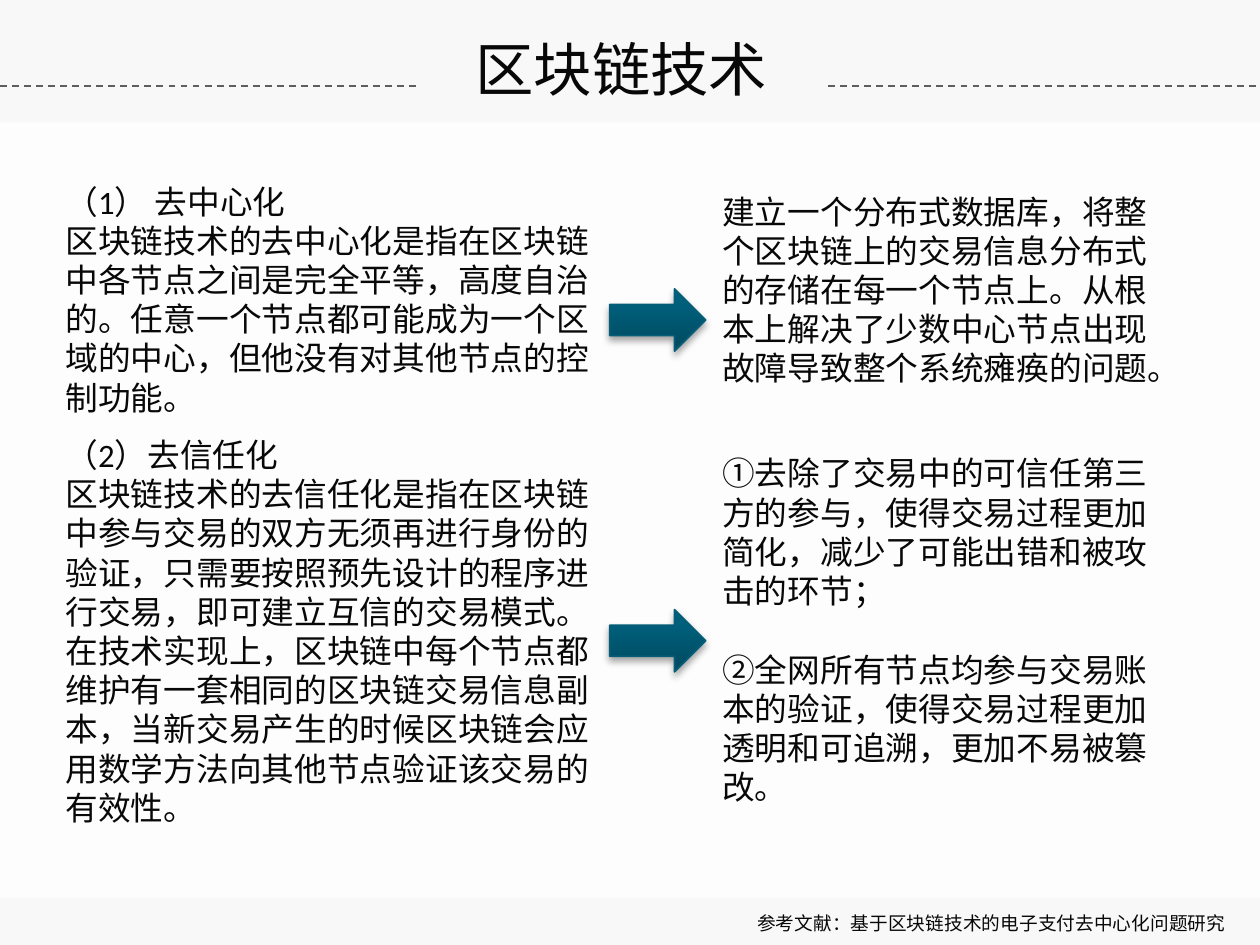
from lxml.etree import SubElement as Sub
from pptx import Presentation
from pptx.dml.color import RGBColor
from pptx.enum.dml import MSO_LINE_DASH_STYLE as Dash
from pptx.enum.shapes import MSO_CONNECTOR as Link, MSO_SHAPE as Kind
from pptx.enum.text import MSO_ANCHOR as Anchor, MSO_AUTO_SIZE as Auto, PP_ALIGN as Align
from pptx.oxml.ns import qn
from pptx.util import Cm, Pt

INK = RGBColor(0x08, 0x08, 0x08)
PALE = RGBColor(0xF8, 0xF8, 0xF8)
WHITE = RGBColor(0xFF, 0xFF, 0xFF)
GREY = RGBColor(0x5F, 0x5F, 0x5F)
DEEP = RGBColor(0x00, 0x49, 0x5F)
TEAL = RGBColor(0x00, 0x60, 0x7C)
EDGE = RGBColor(0x05, 0x5D, 0x77)
HAN = "Noto Sans CJK SC"


def write(box, *lines, size=14, font="Calibri", align=Align.LEFT, gap=0):
    frame = box.text_frame
    frame.word_wrap = True
    frame.auto_size = Auto.NONE
    frame.vertical_anchor = Anchor.TOP
    for i, line in enumerate(lines):
        para = frame.paragraphs[0] if i == 0 else frame.add_paragraph()
        para.alignment = align
        para.line_spacing = Pt(size * 1.2)
        para.space_before = Pt(gap if i else 0)
        run = para.add_run()
        run.text = line
        run.font.size = Pt(size)
        run.font.name = font
        run.font.color.rgb = INK
        Sub(run._r.get_or_add_rPr(), qn("a:ea"), typeface=HAN)


prs = Presentation()
prs.slide_width, prs.slide_height = Cm(19.05), Cm(14.29)
slide = prs.slides.add_slide(prs.slide_layouts[5])
shapes = slide.shapes
back = slide.background.fill
back.solid()
back.fore_color.rgb = PALE

panel = shapes.add_shape(Kind.RECTANGLE, 0, Cm(1.85), Cm(19.05), Cm(11.73))
panel.shadow.inherit = False
panel.fill.solid()
panel.fill.fore_color.rgb = WHITE
panel.line.fill.background()
Sub(panel._element.spPr.find(".//" + qn("a:srgbClr")), qn("a:alpha"), val="79000")

title = shapes.title
title.left, title.top, title.width, title.height = Cm(6.32), Cm(0.38), Cm(6.15), Cm(1.32)
write(title, "区块链技术", size=25, font=HAN, align=Align.CENTER)

for start, end in ((0, 6.32), (12.52, 19.05)):
    rule = shapes.add_connector(Link.STRAIGHT, Cm(start), Cm(1.3), Cm(end), Cm(1.3))
    rule.line.color.rgb = GREY
    rule.line.width = Pt(0.75)
    rule.line.dash_style = Dash.DASH
    Sub(rule._element.spPr, qn("a:effectLst"))

for top in (4.37, 9.22):
    arrow = shapes.add_shape(Kind.RIGHT_ARROW, Cm(9.22), Cm(top), Cm(1.45), Cm(0.94))
    arrow.fill.gradient()
    arrow.fill.gradient_angle = 90
    for stop, tint, place in zip(arrow.fill.gradient_stops, (DEEP, TEAL), (0, 0.8)):
        stop.color.rgb = tint
        stop.position = place
    arrow.line.color.rgb = EDGE
    arrow.line.width = Pt(0.75)
    arrow.shadow.inherit = False
    glow = Sub(arrow._element.spPr.find(qn("a:effectLst")), qn("a:outerShdw"),
               blurRad=str(Pt(3.1)), dist=str(Pt(1.8)), dir="5400000", rotWithShape="0")
    Sub(Sub(glow, qn("a:srgbClr"), val="000000"), qn("a:alpha"), val="35000")

texts = [
    (0.74, 2.62, 8.48, 3.84, {}, (
        "（1） 去中心化",
        "区块链技术的去中心化是指在区块链中各节点之间是完全平等，高度自治的。"
        "任意一个节点都可能成为一个区域的中心，但他没有对其他节点的控制功能。")),
    (0.74, 6.45, 8.48, 6.25, {}, (
        "（2）去信任化",
        "区块链技术的去信任化是指在区块链中参与交易的双方无须再进行身份的验证，"
        "只需要按照预先设计的程序进行交易，即可建立互信的交易模式。"
        "在技术实现上，区块链中每个节点都维护有一套相同的区块链交易信息副本，"
        "当新交易产生的时候区块链会应用数学方法向其他节点验证该交易的有效性。")),
    (10.67, 2.77, 7.35, 3.25, {}, (
        "建立一个分布式数据库，将整个区块链上的交易信息分布式的存储在每一个节点上。"
        "从根本上解决了少数中心节点出现故障导致整个系统瘫痪的问题。",)),
    (10.67, 6.73, 7.24, 5.64, {"gap": 16.8}, (
        "①去除了交易中的可信任第三方的参与，使得交易过程更加简化，减少了可能出错和被攻击的环节；",
        "②全网所有节点均参与交易账本的验证，使得交易过程更加透明和可追溯，更加不易被篡改。")),
    (10.31, 13.67, 8.48, 0.61, {"size": 8, "align": Align.RIGHT}, (
        "参考文献：基于区块链技术的电子支付去中心化问题研究",)),
]
for left, top, width, height, style, lines in texts:
    box = shapes.add_textbox(Cm(left), Cm(top), Cm(width), Cm(height))
    write(box, *lines, **style)

prs.save("out.pptx")
